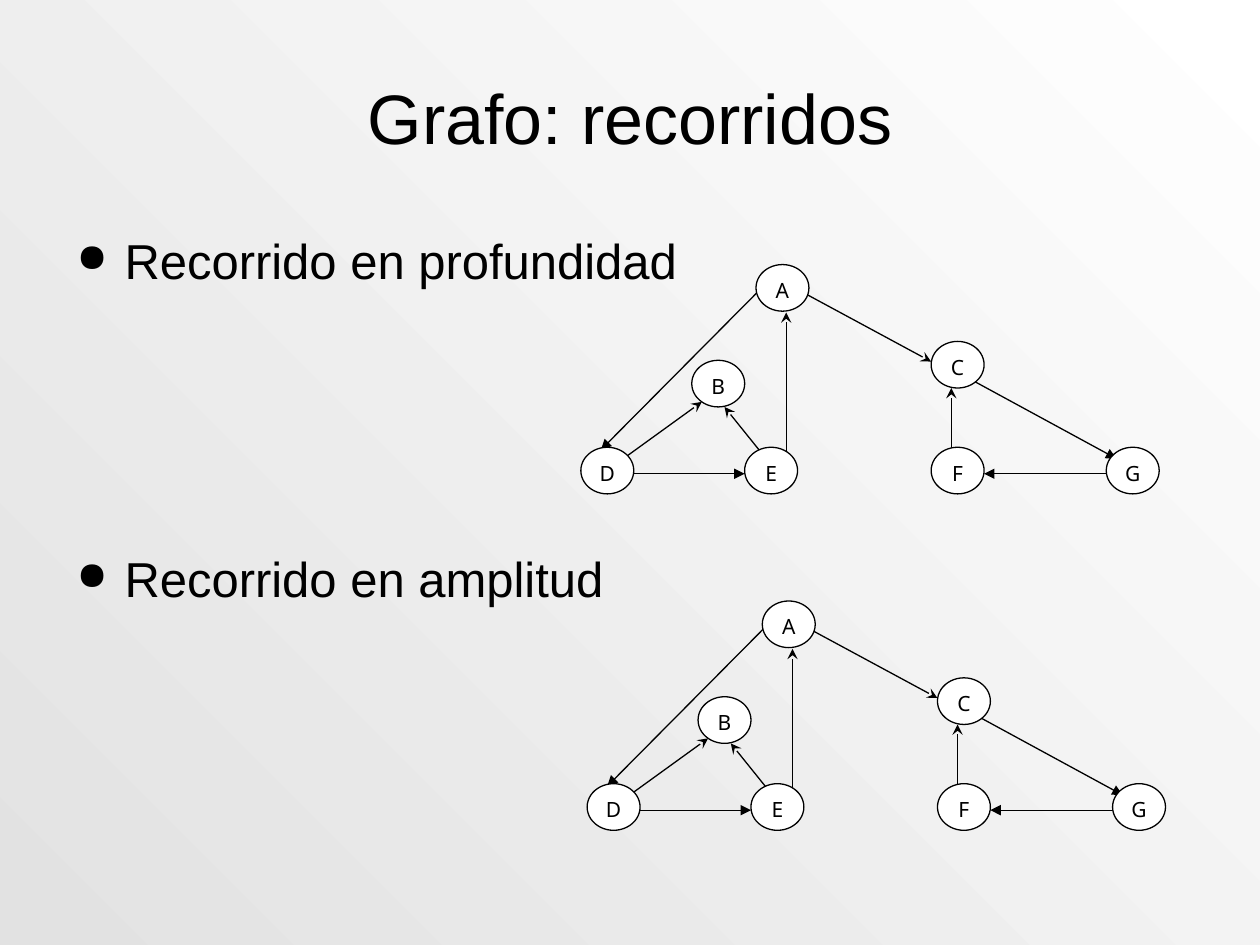
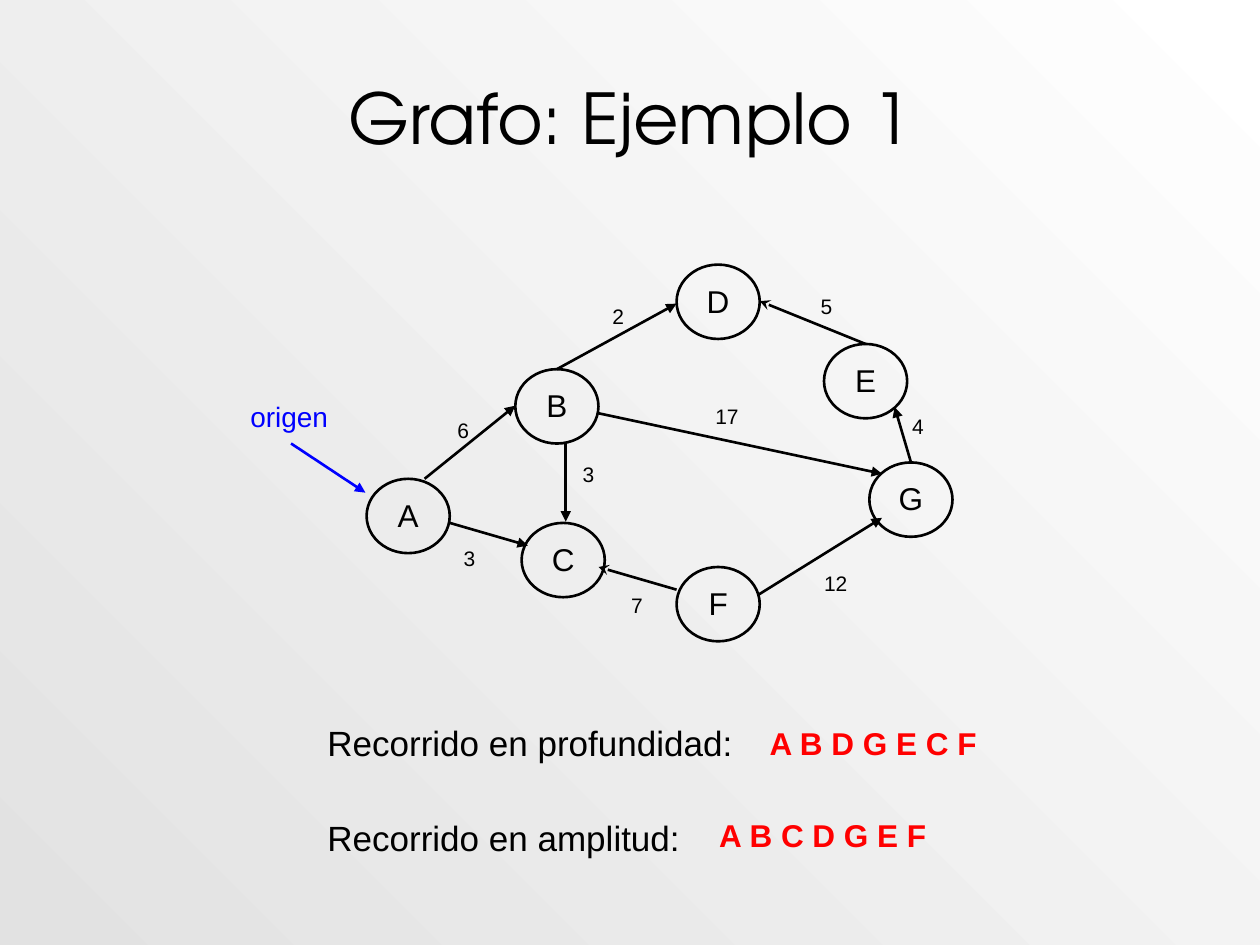
from dataclasses import dataclass
from typing import NamedTuple

from pptx import Presentation
from pptx.dml.color import RGBColor
from pptx.enum.shapes import MSO_CONNECTOR as Line, MSO_SHAPE as Shape
from pptx.enum.text import MSO_ANCHOR as Anchor, MSO_AUTO_SIZE as Fit, PP_ALIGN as Align
from pptx.oxml.ns import qn
from pptx.oxml.xmlchemy import OxmlElement
from pptx.util import Inches, Pt


# Shared look
@dataclass(frozen=True)
class Theme:
    ink: RGBColor = RGBColor(0, 0, 0)
    paper: RGBColor = RGBColor(255, 255, 255)
    shade: RGBColor = RGBColor(0xE2, 0xE2, 0xE2)
    origin: RGBColor = RGBColor(0, 0, 255)
    answer: RGBColor = RGBColor(255, 0, 0)
    font: str = "Arial"
    node_font: str = "Noto Sans"
    title_font: str = "TeX Gyre Adventor"
    title: int = 40
    bullet: int = 28
    caption: int = 20
    node: int = 18
    tag: int = 16
    small: int = 12


THEME = Theme()


# Parts of a graph
class Node(NamedTuple):
    name: str
    left: float
    top: float


class Edge(NamedTuple):
    x1: float
    y1: float
    x2: float
    y2: float
    head: str = "triangle"
    top_of: str = ""  # node whose top the edge leaves from


class Weight(NamedTuple):
    text: str
    left: float
    top: float
    align: Align = Align.LEFT


class Caption(NamedTuple):
    text: str
    left: float
    top: float
    width: float
    height: float
    size: int
    color: RGBColor = THEME.ink
    bold: bool = False
    align: Align = Align.LEFT


@dataclass(frozen=True)
class GraphStyle:
    width: float
    height: float
    line: float
    font: str
    size: int
    inset: float
    filled: bool


SMALL_GRAPH = GraphStyle(0.42, 0.37, 0.75, THEME.node_font, THEME.small, 0.02, True)
LARGE_GRAPH = GraphStyle(0.66, 0.59, 1.5, THEME.font, THEME.node, 0.1, False)

# Graph drawn twice on the first slide
TRAVERSAL_NODES = [
    Node("A", 6, 2.1), Node("B", 5.49, 2.86), Node("C", 7.39, 2.71), Node("D", 4.61, 3.55),
    Node("E", 5.91, 3.55), Node("F", 7.39, 3.55), Node("G", 8.78, 3.55),
]
TRAVERSAL_EDGES = [
    Edge(6.08, 2.25, 4.77, 3.57),
    Edge(6.39, 2.33, 7.39, 2.87, "stealth"),
    Edge(7.72, 3.02, 8.86, 3.64),
    Edge(5.02, 3.76, 5.91, 3.76),
    Edge(7.55, 3.7, 7.55, 3.08, "stealth"),
    Edge(8.82, 3.76, 7.81, 3.76),
    Edge(6.08, 3.64, 5.75, 3.23, "stealth"),
    Edge(4.92, 3.66, 5.57, 3.19, "stealth"),
    Edge(6.24, 3.71, 6.24, 2.48, "stealth"),
]
GRAPH_OFFSETS = [(0, 0), (0.05, 2.67)]
TRAVERSALS = ["Recorrido en profundidad", "Recorrido en amplitud"]

# Weighted graph of the second slide
EXAMPLE_NODES = [
    Node("A", 2.91, 3.8), Node("B", 4.09, 2.93), Node("C", 4.14, 4.15), Node("D", 5.37, 2.1),
    Node("E", 6.54, 2.73), Node("F", 5.37, 4.5), Node("G", 6.9, 3.67),
]
EXAMPLE_EDGES = [
    Edge(3.37, 3.8, 4.09, 3.22),
    Edge(4.42, 2.93, 5.37, 2.41, top_of="B"),
    Edge(6.87, 2.73, 6.03, 2.39, "stealth", top_of="E"),
    Edge(4.75, 3.28, 7, 3.76),
    Edge(7.23, 3.67, 7.1, 3.23, top_of="G"),
    Edge(3.57, 4.15, 4.19, 4.33),
    Edge(5.37, 4.68, 4.75, 4.5, "stealth"),
    Edge(6.02, 4.72, 7, 4.11),
    Edge(4.49, 3.51, 4.49, 4.14),
]
EXAMPLE_WEIGHTS = [
    Weight("6", 3.63, 3.31), Weight("2", 4.86, 2.41), Weight("12", 6.54, 4.53),
    Weight("7", 5.01, 4.7), Weight("3", 3.68, 4.33), Weight("4", 7.24, 3.28),
    Weight("17", 5.59, 3.2, Align.CENTER), Weight("5", 6.38, 2.33, Align.CENTER),
    Weight("3", 4.49, 3.66, Align.CENTER),
]
EXAMPLE_CAPTIONS = [
    Caption("Recorrido en profundidad:", 2.5, 5.68, 3.53, 0.44, THEME.caption),
    Caption("Recorrido en amplitud:", 2.5, 6.43, 3.03, 0.44, THEME.caption),
    Caption("A B D G E C F", 6.01, 5.7, 1.85, 0.4, THEME.node, THEME.answer, True),
    Caption("A B C D G E F", 5.61, 6.43, 1.91, 0.4, THEME.node, THEME.answer, True),
    Caption("origen", 1.89, 3.12, 0.81, 0.37, THEME.tag, THEME.origin, align=Align.CENTER),
]


# Text
def write(para, text: str, *, size: int, font: str = THEME.font, color: RGBColor = THEME.ink,
          bold: bool = False, align: Align = Align.LEFT) -> None:
    para.alignment = align
    span = para.add_run()
    span.text = text
    span.font.name = font
    span.font.size = Pt(size)
    span.font.bold = bold
    span.font.color.rgb = color


def set_frame(frame, *, side: float = 0.1, edge: float = 0.05, wrap: bool = True,
              anchor: Anchor = Anchor.TOP) -> None:
    frame.auto_size = Fit.NONE
    frame.word_wrap = wrap
    frame.vertical_anchor = anchor
    frame.margin_left = frame.margin_right = Inches(side)
    frame.margin_top = frame.margin_bottom = Inches(edge)


def add_bullet(para) -> None:
    props = para._p.get_or_add_pPr()
    props.set("marL", str(Inches(0.38)))
    props.set("indent", str(-Inches(0.38)))
    size = OxmlElement("a:buSzPct")
    size.set("val", "80000")
    mark = OxmlElement("a:buChar")
    mark.set("char", "●")
    props.extend([size, mark])


def add_caption(page, caption: Caption) -> None:
    box = page.shapes.add_textbox(Inches(caption.left), Inches(caption.top),
                                  Inches(caption.width), Inches(caption.height))
    set_frame(box.text_frame, wrap=False)
    write(box.text_frame.paragraphs[0], caption.text, size=caption.size,
          color=caption.color, bold=caption.bold, align=caption.align)


def add_weight(page, weight: Weight) -> None:
    box = page.shapes.add_textbox(Inches(weight.left), Inches(weight.top),
                                  Inches(0.36), Inches(0.32))
    set_frame(box.text_frame, side=0, edge=0)
    write(box.text_frame.paragraphs[0], weight.text, size=THEME.small, align=weight.align)


# Graph drawing
def add_arrow(page, edge: Edge, *, width: float, color: RGBColor = THEME.ink,
              dx: float = 0, dy: float = 0):
    arrow = page.shapes.add_connector(Line.STRAIGHT, Inches(edge.x1 + dx), Inches(edge.y1 + dy),
                                      Inches(edge.x2 + dx), Inches(edge.y2 + dy))
    arrow.line.width = Pt(width)
    arrow.line.color.rgb = color
    tip = OxmlElement("a:tailEnd")
    tip.set("type", edge.head)
    props = arrow._element.find(qn("p:spPr"))
    props.find(qn("a:ln")).append(tip)
    props.append(OxmlElement("a:effectLst"))
    return arrow


def add_node(page, node: Node, style: GraphStyle, dx: float, dy: float):
    circle = page.shapes.add_shape(Shape.OVAL, Inches(node.left + dx), Inches(node.top + dy),
                                   Inches(style.width), Inches(style.height))
    circle.shadow.inherit = False
    if style.filled:
        circle.fill.solid()
        circle.fill.fore_color.rgb = THEME.paper
    else:
        circle.fill.background()
    circle.line.color.rgb = THEME.ink
    circle.line.width = Pt(style.line)
    set_frame(circle.text_frame, side=style.inset)
    write(circle.text_frame.paragraphs[0], node.name, size=style.size, font=style.font,
          align=Align.CENTER)
    return circle


def draw_graph(page, nodes: list[Node], edges: list[Edge], style: GraphStyle,
               dx: float = 0, dy: float = 0) -> None:
    arrows = [add_arrow(page, edge, width=style.line, dx=dx, dy=dy) for edge in edges]
    circles = {node.name: add_node(page, node, style, dx, dy) for node in nodes}
    for edge, arrow in zip(edges, arrows):
        if edge.top_of:
            arrow.begin_connect(circles[edge.top_of], 0)


# Slides
def paint_background(deck) -> None:
    fill = deck.slide_master.background.fill
    fill.gradient()
    fill.gradient_angle = 225
    for stop, color in zip(fill.gradient_stops, (THEME.paper, THEME.shade)):
        stop.color.rgb = color


def add_page(deck, title: str, font: str):
    page = deck.slides.add_slide(deck.slide_layouts.get_by_name("Title Only"))
    box = page.shapes.title
    box.left, box.top, box.width, box.height = map(Inches, (0.5, 0.3, 9, 1.25))
    set_frame(box.text_frame, anchor=Anchor.MIDDLE)
    write(box.text_frame.paragraphs[0], title, size=THEME.title, font=font, align=Align.CENTER)
    return page


def add_traversals_page(deck) -> None:
    page = add_page(deck, "Grafo: recorridos", THEME.font)
    box = page.shapes.add_textbox(Inches(0.51), Inches(1.78), Inches(8.99), Inches(5.12))
    frame = box.text_frame
    set_frame(frame)
    for index, text in enumerate(TRAVERSALS):
        para = frame.add_paragraph() if index else frame.paragraphs[0]
        para.space_before = Pt(148 * index)
        add_bullet(para)
        write(para, text, size=THEME.bullet, align=Align.JUSTIFY)
    for dx, dy in GRAPH_OFFSETS:
        draw_graph(page, TRAVERSAL_NODES, TRAVERSAL_EDGES, SMALL_GRAPH, dx, dy)


def add_example_page(deck) -> None:
    page = add_page(deck, "Grafo: Ejemplo 1", THEME.title_font)
    draw_graph(page, EXAMPLE_NODES, EXAMPLE_EDGES, LARGE_GRAPH)
    for weight in EXAMPLE_WEIGHTS:
        add_weight(page, weight)
    add_arrow(page, Edge(2.31, 3.52, 2.9, 3.91), width=LARGE_GRAPH.line, color=THEME.origin)
    for caption in EXAMPLE_CAPTIONS:
        add_caption(page, caption)


def main() -> None:
    deck = Presentation()
    deck.slide_width, deck.slide_height = Inches(10), Inches(7.5)
    paint_background(deck)
    add_traversals_page(deck)
    add_example_page(deck)
    deck.save("out.pptx")


if __name__ == "__main__":
    main()
